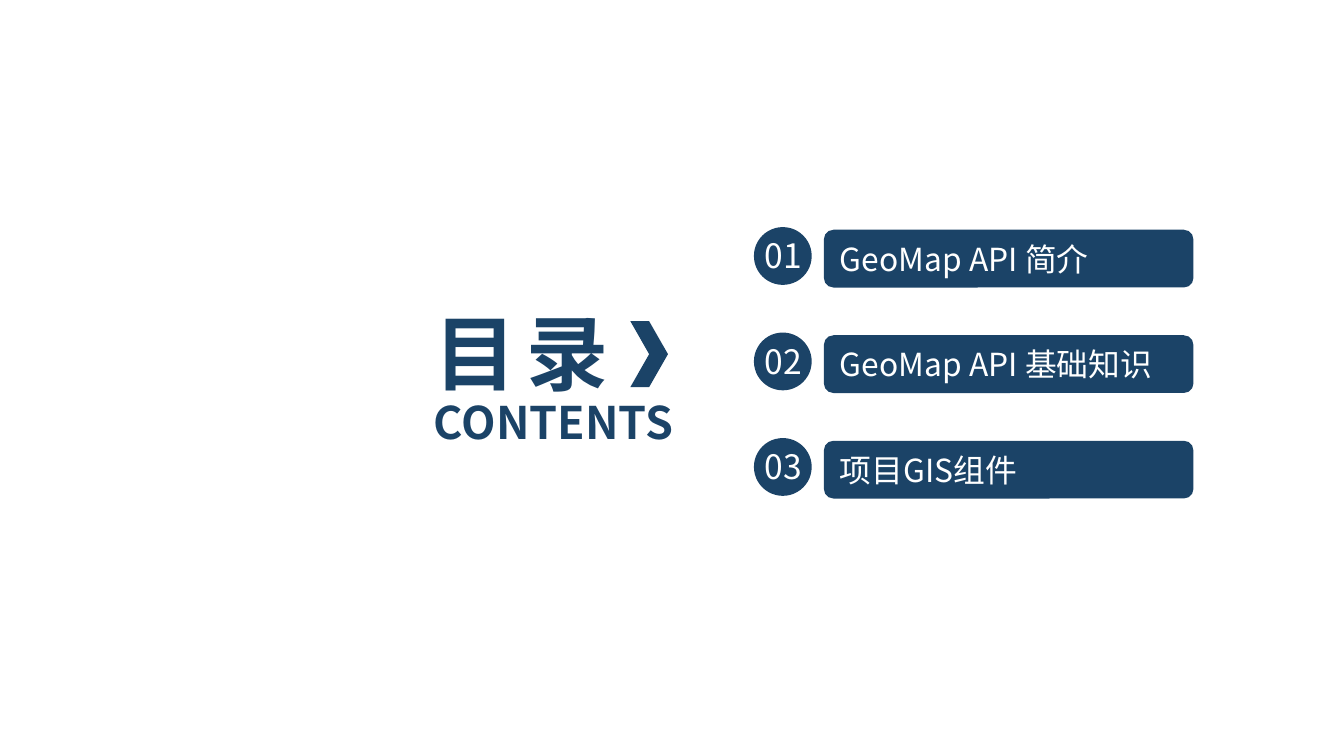
from pptx import Presentation
from pptx.dml.color import RGBColor
from pptx.enum import shapes, text
from pptx.oxml import ns
from pptx.util import Inches, Pt
from lxml import etree

FONT = "Noto Sans CJK SC"
NAVY, WHITE = "1B4367", "FFFFFF"
TOPICS = ["GeoMap API 简介", "GeoMap API 基础知识", "项目GIS组件"]
PRESET = shapes.MSO_SHAPE


def color(hex_value):
    """Turn a hex string into a colour."""
    return RGBColor.from_string(hex_value)


def write(holder, words, size, hex_value, align=text.PP_ALIGN.LEFT,
          anchor=text.MSO_ANCHOR.TOP, bold=False, spacing=None):
    """Set and format the single line of text in a shape."""
    frame = holder.text_frame
    frame.text = words
    frame.word_wrap = True
    frame.auto_size = text.MSO_AUTO_SIZE.NONE
    frame.vertical_anchor = anchor
    frame.margin_left = frame.margin_right = Inches(0.1)
    frame.margin_top = frame.margin_bottom = Inches(0.05)
    line = frame.paragraphs[0]
    line.alignment = align
    line.line_spacing = 1.0
    line.space_before = Pt(0)
    for run in line.runs:
        run.font.name = FONT
        run.font.size = Pt(size)
        run.font.bold = bold
        run.font.color.rgb = color(hex_value)
        properties = run.font._element
        etree.SubElement(properties, ns.qn("a:ea")).set("typeface", FONT)
        if spacing is not None:
            properties.set("spc", str(int(spacing * 100)))


def add_block(parent, preset, left, top, width, height):
    """Add a plain navy shape."""
    block = parent.add_shape(preset, Inches(left), Inches(top),
                             Inches(width), Inches(height))
    block.shadow.inherit = False
    block.fill.solid()
    block.fill.fore_color.rgb = color(NAVY)
    block.line.fill.background()
    return block


def add_heading(slide, left, top):
    """Place the title, its English subtitle and the chevron."""
    title = slide.shapes.title
    title.left, title.top = Inches(left), Inches(top)
    title.width, title.height = Inches(2.35), Inches(0.84)
    write(title, "目 录", 44, NAVY, bold=True, spacing=-2.2)
    subtitle = slide.shapes.add_textbox(Inches(left), Inches(top + 0.69),
                                        Inches(2.31), Inches(0.5))
    write(subtitle, "CONTENTS", 24, NAVY, bold=True)
    add_block(slide.shapes, PRESET.CHEVRON, left + 1.56, top + 0.19, 0.28, 0.49)


def add_topic(slide, left, top, number, topic):
    """Place one numbered badge and its topic bar."""
    bar = add_block(slide.shapes, PRESET.ROUNDED_RECTANGLE,
                    left + 0.56, top + 0.02, 2.75, 0.43)
    write(bar, topic, 17, WHITE, anchor=text.MSO_ANCHOR.MIDDLE)
    badge = slide.shapes.add_group_shape()
    add_block(badge.shapes, PRESET.OVAL, left + 0.04, top, 0.43, 0.43)
    label = badge.shapes.add_textbox(Inches(left), Inches(top + 0.01),
                                     Inches(0.52), Inches(0.4))
    write(label, f"{number:02d}", 18, WHITE, align=text.PP_ALIGN.CENTER)


def add_topic_list(slide, left, first_top, last_top):
    """Spread the topics evenly between the first and last tops."""
    pitch = (last_top - first_top) / (len(TOPICS) - 1)
    for index, topic in enumerate(TOPICS):
        add_topic(slide, left, first_top + index * pitch, index + 1, topic)


def build_contents():
    """Build and save the contents slide."""
    deck = Presentation()
    deck.slide_width = Inches(10)
    deck.slide_height = deck.slide_width * 9 // 16
    slide = deck.slides.add_slide(deck.slide_layouts.get_by_name("Title Only"))
    slide.background.fill.solid()
    slide.background.fill.fore_color.rgb = color(WHITE)
    add_heading(slide, 3.13, 2.2)
    add_topic_list(slide, 5.57, 1.69, 3.26)
    deck.save("out.pptx")


build_contents()
